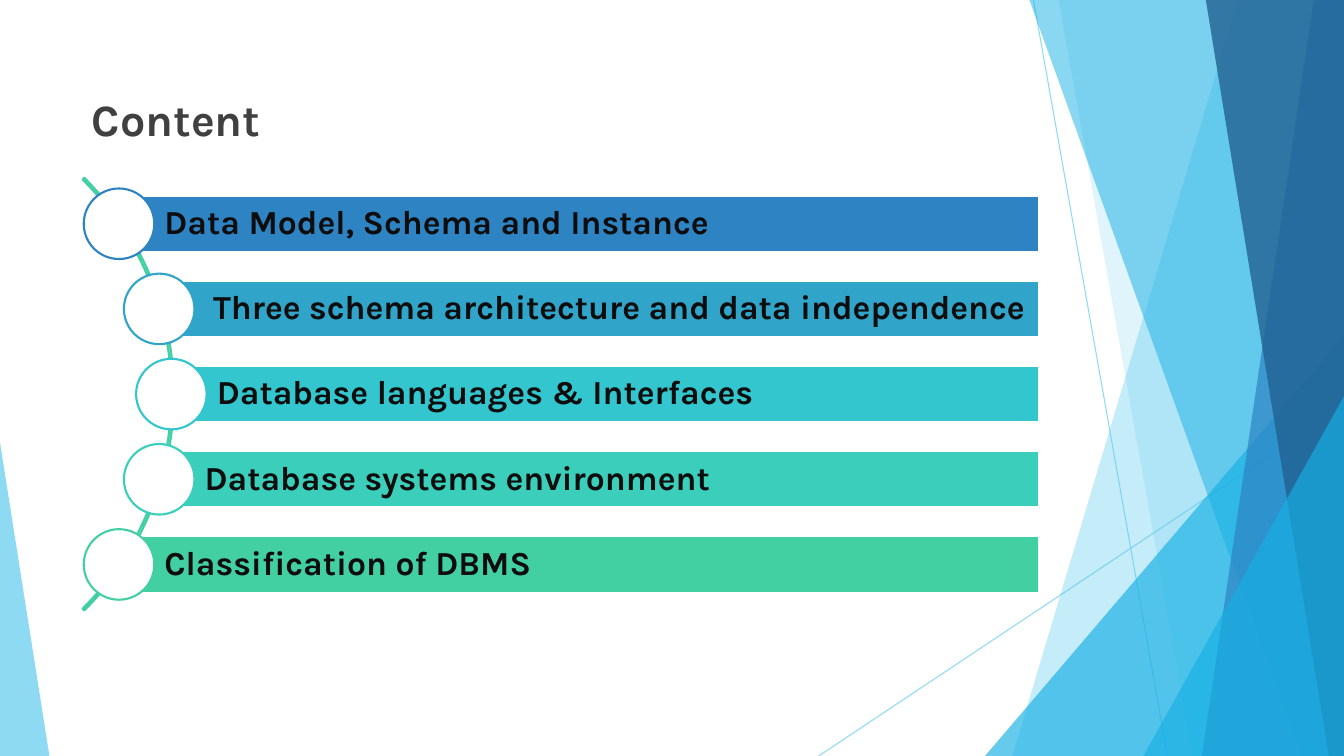
from math import sqrt
from pptx import Presentation, util as u
from pptx.dml.color import RGBColor
from pptx.enum import shapes, text
from pptx.oxml.ns import qn
from lxml import etree

SKY = RGBColor(0x5F, 0xCB, 0xEF)
CYAN = RGBColor(0x17, 0xB0, 0xE4)
BLUE = RGBColor(0x2E, 0x83, 0xC3)
NAVY = RGBColor(0x22, 0x62, 0x92)
OCEAN = RGBColor(0x30, 0xA4, 0xC9)
TEAL = RGBColor(0x34, 0xC6, 0xCE)
MINT = RGBColor(0x3B, 0xCF, 0xBB)
GREEN = RGBColor(0x42, 0xD0, 0xA2)
WHITE = RGBColor(0xFF, 0xFF, 0xFF)
INK = RGBColor(0x0D, 0x0D, 0x0D)
GREY = RGBColor(0x40, 0x40, 0x40)
FONT = "Karla"
W, H = 13.33, 7.5

# Content
TITLE = "Content"
TOPICS = [
    ("Data Model, Schema and Instance", BLUE),
    (" Three schema architecture and data independence", OCEAN),
    ("Database languages & Interfaces", TEAL),
    ("Database systems environment", MINT),
    ("Classification of DBMS", GREEN),
]

# Backdrop: thin rays (from, to), then facets from back to front
RAYS = [((10.25, 0), (11.58, H)), ((W, 4.03), (8.12, H))]
FACETS = [  # panel: top x, bottom x; peak: left, top, width, apex share
    ("panel", (12.28, 10.04), SKY, 36),
    ("panel", (10.5, 11.83), SKY, 20),
    ("peak", (9.77, 3.33, 3.56, 1), CYAN, 66),
    ("panel", (10.21, 12.91), CYAN, 50),
    ("panel", (13.03, 11.92), BLUE, 70),
    ("panel", (11.96, 13.18), NAVY, 80),
    ("peak", (11.34, 3.93, 1.99, 1), CYAN, 66),
    ("peak", (0, 4.39, 0.49, 0), SKY, 70),
]

# Arc that carries the topics
MID_X, MID_Y, RAD = -1.31, 3.91, 3.01
STEP, BAR, DOT, EDGE = 0.845, 0.56, 0.7, 10.31

deck = Presentation()
deck.slide_width, deck.slide_height = u.Inches(W), u.Inches(H)
slide = deck.slides.add_slide(deck.slide_layouts[5])
kit = slide.shapes


def fade(fmt, share):
    clr = fmt._xPr.find(".//" + qn("a:srgbClr"))
    etree.SubElement(clr, qn("a:alpha")).set("val", str(share * 1000))


def paint(part, fill=None, line=None):
    part.shadow.inherit = False
    if fill is None:
        part.fill.background()
    else:
        part.fill.solid()
        part.fill.fore_color.rgb = fill
    if line is None:
        part.line.fill.background()
    else:
        part.line.color.rgb = line
        part.line.width = u.Pt(1.5)


def draw(kind, x, y, w, h, fill=None, line=None):
    part = kit.add_shape(kind, *map(u.Inches, (x, y, w, h)))
    paint(part, fill, line)
    return part


def write(para, words, size, color):
    para.alignment = text.PP_ALIGN.LEFT
    run = para.add_run()
    run.text = words
    run.font.name, run.font.size, run.font.bold = FONT, u.Pt(size), True
    run.font.color.rgb = color


# Rays
for start, end in RAYS:
    ray = kit.add_connector(shapes.MSO_CONNECTOR.STRAIGHT,
                            *map(u.Inches, start + end))
    ray.line.color.rgb = SKY
    ray.line.width = u.Pt(0.75)
    fade(ray.line.fill, 70)
    etree.SubElement(ray._element.spPr, qn("a:effectLst"))

# Facets
for kind, spot, color, share in FACETS:
    if kind == "panel":
        top, foot = spot
        pen = kit.build_freeform(u.Inches(top), 0)
        pen.add_line_segments([(u.Inches(x), u.Inches(y)) for x, y in
                               ((W, 0), (W, H), (foot, H))])
        facet = pen.convert_to_shape()
        paint(facet, color)
    else:
        x, y, wide, apex = spot
        facet = draw(shapes.MSO_SHAPE.ISOSCELES_TRIANGLE,
                     x, y, wide, H - y, color)
        facet.adjustments[0] = apex
    fade(facet.fill, share)

# Arc
size = 6.07
arc = draw(shapes.MSO_SHAPE.BLOCK_ARC, MID_X - size / 2, MID_Y - size / 2,
           size, size, line=GREEN)
for i, val in enumerate((189, 27, 0.004)):
    arc.adjustments[i] = val

# Topic bars, each starting at a dot on the arc
for i, (words, color) in enumerate(TOPICS):
    rise = (i - (len(TOPICS) - 1) / 2) * STEP
    x, y = MID_X + sqrt(RAD ** 2 - rise ** 2), MID_Y + rise
    bar = draw(shapes.MSO_SHAPE.RECTANGLE, x, y - BAR / 2, EDGE - x, BAR,
               color, WHITE)
    frame = bar.text_frame
    frame.word_wrap = True
    frame.vertical_anchor = text.MSO_ANCHOR.MIDDLE
    frame.margin_left = u.Inches(0.45)
    frame.margin_right = frame.margin_top = frame.margin_bottom = u.Inches(0.07)
    frame.paragraphs[0].line_spacing = 0.9
    write(frame.paragraphs[0], words, 24, INK)
    draw(shapes.MSO_SHAPE.OVAL, x - DOT / 2, y - DOT / 2, DOT, DOT,
         WHITE, color)

# Title
head = kit.title
head.left, head.top, head.width, head.height = map(
    u.Inches, (0.81, 0.86, 9.33, 1.29))
frame = head.text_frame
frame.auto_size = text.MSO_AUTO_SIZE.NONE
frame.vertical_anchor = text.MSO_ANCHOR.TOP
frame.paragraphs[0].space_before = u.Pt(10)
write(frame.paragraphs[0], TITLE, 32, GREY)

deck.save("out.pptx")
